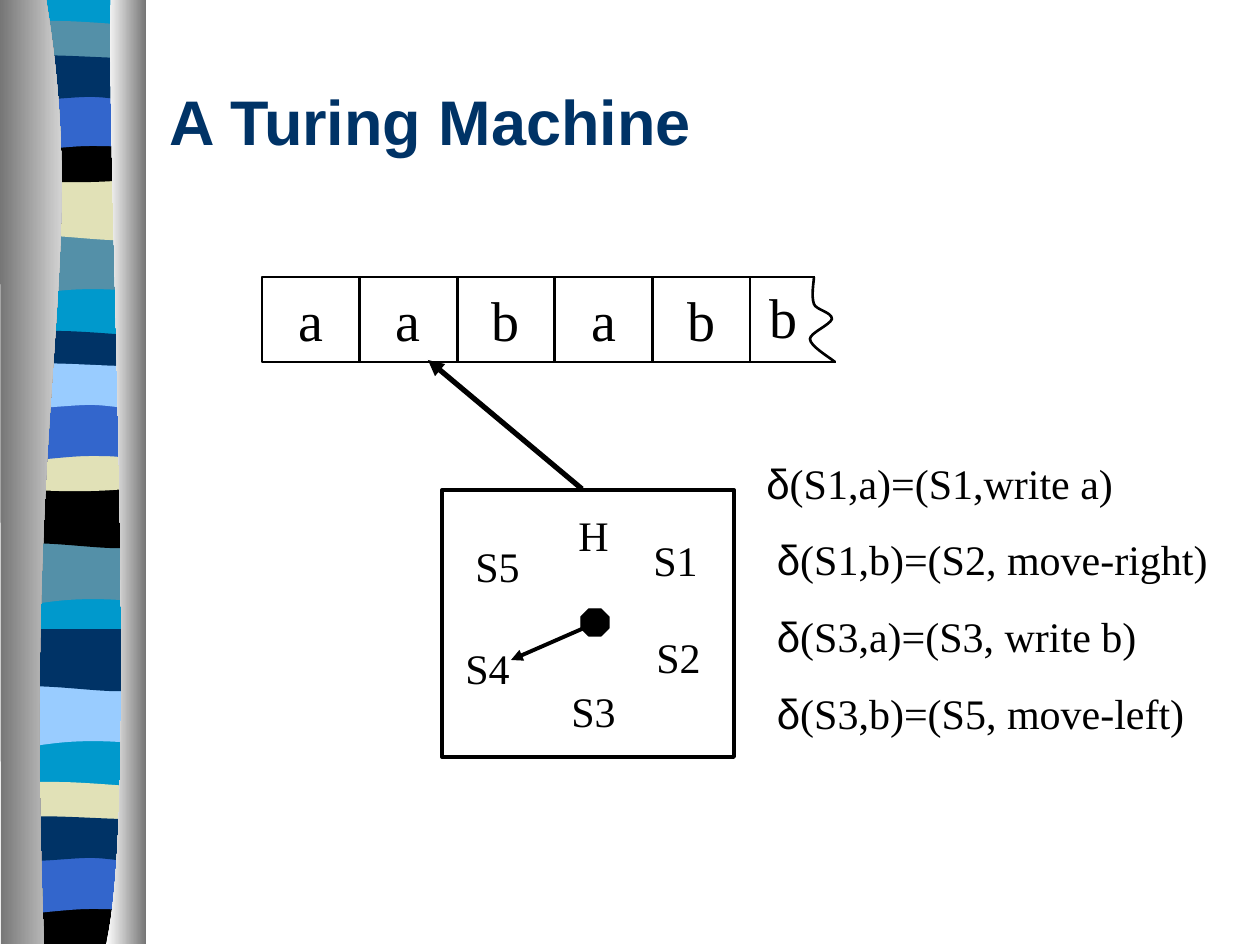
from pptx import Presentation
from pptx.dml.color import RGBColor
from pptx.enum.shapes import MSO_CONNECTOR, MSO_SHAPE
from pptx.enum.text import MSO_ANCHOR, MSO_AUTO_SIZE, PP_ALIGN
from pptx.oxml.ns import qn
from pptx.util import Emu, Pt
from lxml import etree

RECT, OCTAGON = MSO_SHAPE.RECTANGLE, MSO_SHAPE.OCTAGON
STRAIGHT = MSO_CONNECTOR.STRAIGHT
LEFT, CENTER = PP_ALIGN.LEFT, PP_ALIGN.CENTER
TOP, MIDDLE = MSO_ANCHOR.TOP, MSO_ANCHOR.MIDDLE
GROW = MSO_AUTO_SIZE.SHAPE_TO_FIT_TEXT

PX = 914400 / 126
THEME = {
    "ink": "000000", "paper": "FFFFFF", "navy": "003366", "blue": "3366CC",
    "sky": "99CCFF", "cyan": "0099CC", "teal": "5490A8", "sand": "E1E1B7",
    "grey": "767676",
    "sans": "Arial", "serif": "Times New Roman",
    "title": 36, "tape": 32, "label": 24,
    "thin": 0.75, "rule": 1.5, "frame": 2.25, "head": 3,
}

TITLE = "A Turing Machine"
TAPE = ["a", "a", "b", "a", "b"]
LAST_SYMBOL = "b"
STATES = [("S1", 641, 528), ("S2", 644, 625), ("S3", 559, 679),
          ("H", 566, 503), ("S4", 453, 636), ("S5", 463, 534)]
TRANSITIONS = ["(S1,a)=(S1,write a)", "(S1,b)=(S2, move-right)",
               "(S3,a)=(S3, write b)", "(S3,b)=(S5, move-left)"]

# In an outline, two numbers are a corner and six are a Bézier curve.
BAND_OUTLINES = {
    "strip": [(136, 0), (136, 943), (0, 943), (0, 0)],
    "wave": [(136, 0), (136, 59), (42, 49, 23, 69, 0, 59), (0, 0)],
    "slab": [(136, 0), (136, 59), (113, 69, 42, 52, 0, 59), (0, 0)],
    "ribbon": [(136, 6), (136, 37), (113, 42, 23, 42, 0, 37), (0, 6),
               (8, 0, 29, 1, 52, 1), (74, 1, 118, 5, 136, 6)],
    "lens": [(136, 0), (136, 41), (113, 48, 23, 48, 0, 41), (0, 0),
             (83, 6, 107, 0, 136, 0)],
    "base": [(136, 0), (136, 47), (0, 47), (0, 0), (83, 6, 107, 0, 136, 0)],
    "arch": [(136, 0), (136, 59), (115, 53, 106, 53, 83, 53),
             (60, 53, 20, 59, 0, 59), (0, 0)],
    "fold": [(136, 6), (136, 45), (127, 52, 106, 45, 83, 45),
             (60, 45, 14, 52, 0, 45), (0, 6), (19, 0, 92, 6, 115, 6), (136, 6)],
}
BAND_LEFT = 7
BANDS = [
    ("strip", -1, "cyan"),
    ("wave", 233, "teal"), ("slab", 178, "sand"), ("ribbon", 20, "teal"),
    ("lens", 136, "ink"), ("arch", 93, "blue"), ("fold", 52, "navy"),
    ("wave", 543, "teal"), ("slab", 486, "ink"), ("ribbon", 330, "navy"),
    ("lens", 445, "sand"), ("arch", 403, "blue"), ("fold", 360, "sky"),
    ("wave", 685, "sky"), ("slab", 629, "navy"), ("ribbon", 781, "sand"),
    ("base", 897, "ink"), ("arch", 856, "blue"), ("fold", 813, "navy"),
]
COLUMNS = [
    ([(46, -1), (91, 272, 22, 373, 44, 944), (1, 944), (0, -1)], "grey", "paper"),
    ([(111, -1), (106, 158, 140, 814, 106, 944), (146, 944), (146, 0)], "paper", "grey"),
]
TORN_EDGE = [(814, 277), (814, 281, 811, 296, 814, 304), (816, 310, 832, 312, 832, 319),
             (830, 325, 810, 333, 810, 339), (810, 346, 829, 357, 835, 362)]
TAPE_LEFT, TAPE_RIGHT, TAPE_TOP, TAPE_BOTTOM = 262, 750, 277, 362


def px(*lengths):
    return [Emu(round(n * PX)) for n in lengths]


def rgb(name):
    return RGBColor.from_string(THEME[name])


def paint(shape, fill=None, line=None):
    shape.shadow.inherit = False
    if fill:
        shape.fill.solid()
        shape.fill.fore_color.rgb = rgb(fill)
    else:
        shape.fill.background()
    if line:
        shape.line.color.rgb = rgb("ink")
        shape.line.width = Pt(THEME[line])
    else:
        shape.line.fill.background()
    return shape


def add_outline(slide, outline, left=0, top=0, close=True):
    """Draw a freeform, then join each curve's three points into one Bézier."""
    points = [px(part[i] + left, part[i + 1] + top)
              for part in outline for i in range(0, len(part), 2)]
    builder = slide.shapes.build_freeform(*points[0])
    builder.add_line_segments(points[1:], close=close)
    shape = builder.convert_to_shape()
    segments = iter(list(shape._element.iter(qn("a:lnTo"))))
    for part in outline[1:]:
        steps = [next(segments) for _ in range(len(part) // 2)]
        if len(steps) == 3:
            curve = etree.Element(qn("a:cubicBezTo"))
            steps[0].addprevious(curve)
            for step in steps:
                curve.append(step[0])
                step.getparent().remove(step)
    return shape


def add_line(slide, start, end, width, arrow=False):
    line = slide.shapes.add_connector(STRAIGHT, *px(*start, *end))
    line.line.color.rgb = rgb("ink")
    line.line.width = Pt(THEME[width])
    etree.SubElement(line._element.spPr, qn("a:effectLst"))
    if arrow:
        etree.SubElement(line.line._get_or_add_ln(), qn("a:tailEnd"), type="triangle")


def write(paragraph, text, size, font="serif", color="ink", bold=False, align=LEFT):
    paragraph.alignment = align
    run = paragraph.add_run()
    run.text = text
    style = {"name": THEME[font], "size": Pt(THEME[size]), "bold": bold}
    for attribute, value in style.items():
        setattr(run.font, attribute, value)
    run.font.color.rgb = rgb(color)


def set_frame(shape, anchor=TOP, wrap=False, grow=False):
    frame = shape.text_frame
    frame.vertical_anchor = anchor
    frame.word_wrap = wrap
    if grow:
        frame.auto_size = GROW
    return frame


def draw_border(slide):
    for kind, top, color in BANDS:
        paint(add_outline(slide, BAND_OUTLINES[kind], BAND_LEFT, top), color)
    for outline, *colors in COLUMNS:
        column = paint(add_outline(slide, outline))
        column.fill.gradient()
        column.fill.gradient_angle = 0
        for stop, color in zip(column.fill.gradient_stops, colors):
            stop.color.rgb = rgb(color)


def draw_control(slide):
    paint(slide.shapes.add_shape(RECT, *px(442, 490, 292, 267)), "paper", "frame")
    paint(slide.shapes.add_shape(OCTAGON, *px(581, 609, 28, 27)), "ink", "thin")
    for state, left, top in STATES:
        width = 72 if len(state) == 2 else 56
        label = slide.shapes.add_textbox(*px(left, top, width, 63))
        write(set_frame(label, grow=True).paragraphs[0], state, "label")
    add_line(slide, (591, 625), (511, 660), "frame", arrow=True)


def draw_transitions(slide):
    rules = slide.shapes.add_textbox(*px(754, 451, 506, 294))
    frame = set_frame(rules, wrap=True, grow=True)
    for index, rule in enumerate(TRANSITIONS):
        paragraph = frame.add_paragraph() if index else frame.paragraphs[0]
        if index:
            paragraph.space_before = Pt(15)
            paragraph._p.get_or_add_pPr().set("marL", str(Pt(6)))
        write(paragraph, "δ", "label", "sans")
        write(paragraph, rule, "label")


def draw_tape(slide):
    pitch = (TAPE_RIGHT - TAPE_LEFT) / len(TAPE)
    for index, symbol in enumerate(TAPE):
        place = px(TAPE_LEFT + index * pitch, TAPE_TOP, pitch, TAPE_BOTTOM - TAPE_TOP)
        cell = paint(slide.shapes.add_shape(RECT, *place), line="rule")
        write(set_frame(cell, MIDDLE).paragraphs[0], symbol, "tape", align=CENTER)
    for y, right in ((TAPE_TOP, 815), (TAPE_BOTTOM, 836)):
        add_line(slide, (TAPE_RIGHT, y), (right, y), "rule")
    paint(add_outline(slide, TORN_EDGE, close=False), line="rule")
    last = slide.shapes.add_textbox(*px(757, 276, 54, 81))
    write(set_frame(last, MIDDLE, grow=True).paragraphs[0], LAST_SYMBOL, "tape", align=CENTER)
    add_line(slide, (582, 489), (428, 360), "head", arrow=True)


def main():
    deck = Presentation()
    deck.slide_width, deck.slide_height = px(1260, 945)
    slide = deck.slides.add_slide(deck.slide_layouts[5])
    draw_border(slide)
    title = slide.shapes.title
    title.left, title.top, title.width, title.height = px(157, 41, 1071, 158)
    write(set_frame(title, MIDDLE, wrap=True).paragraphs[0], TITLE, "title",
          "sans", "navy", bold=True)
    draw_control(slide)
    draw_transitions(slide)
    draw_tape(slide)
    deck.save("out.pptx")


if __name__ == "__main__":
    main()
